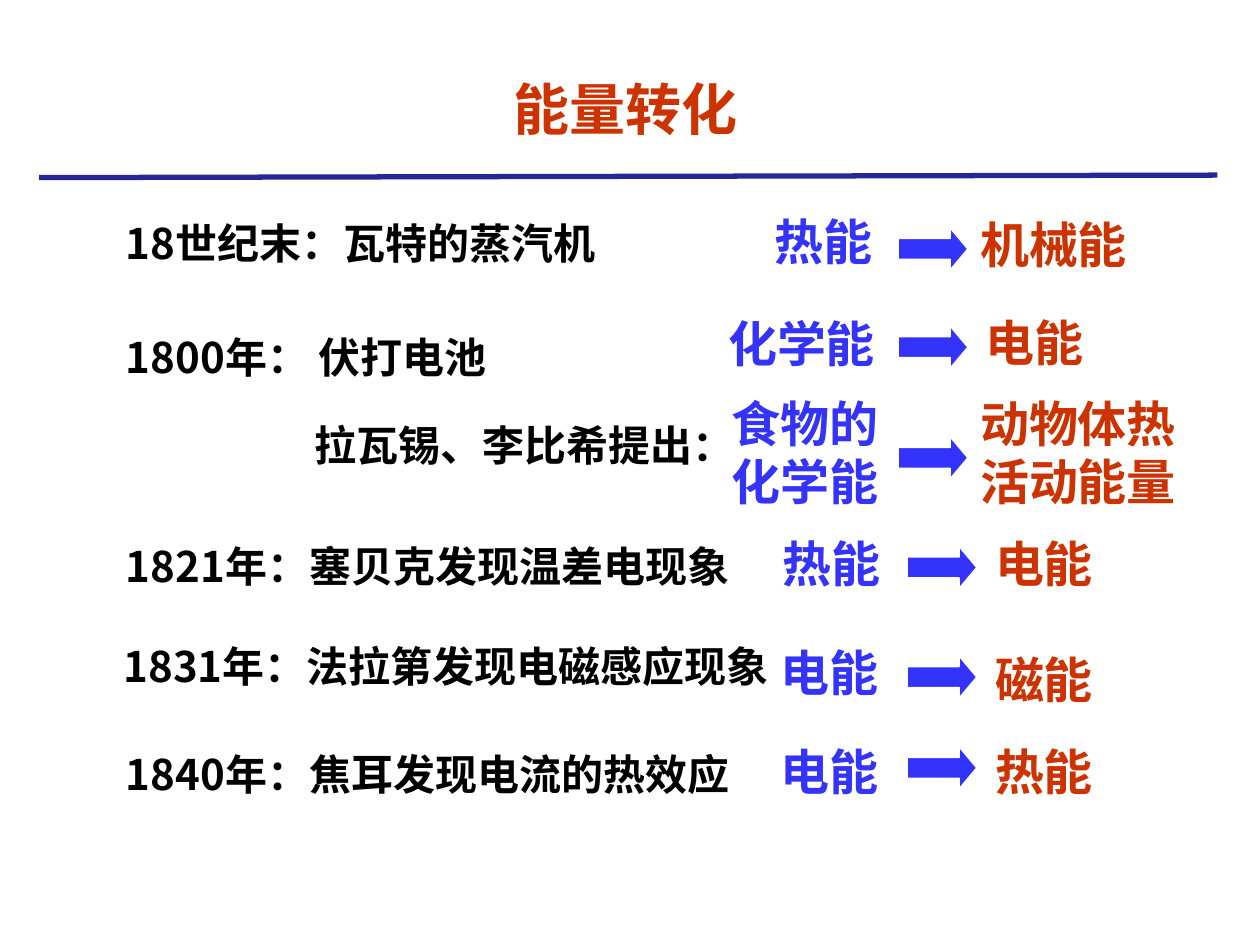
from lxml import etree
from pptx import Presentation
from pptx.dml.color import RGBColor
from pptx.enum import shapes, text
from pptx.oxml import ns
from pptx.util import Cm, Pt

BLACK = RGBColor(0x00, 0x00, 0x00)
WHITE = RGBColor(0xFF, 0xFF, 0xFF)
BLUE = RGBColor(0x33, 0x33, 0xFA)
ARROW_BLUE = RGBColor(0x33, 0x33, 0xFB)
RULE_BLUE = RGBColor(0x26, 0x26, 0x99)
RED = RGBColor(0xCC, 0x33, 0x00)
CHINESE_FONT = "Noto Sans CJK SC"

TITLE = "能量转化"
EVENTS = [
    ("18世纪末：瓦特的蒸汽机", 2.29, 4.27, 11),
    ("1800年： 伏打电池", 2.29, 6.55, 9.19),
    ("拉瓦锡、李比希提出：", 6.1, 8.33, 10.21),
    ("1821年：塞贝克发现温差电现象", 2.29, 10.77, 13.21),
    ("1831年：法拉第发现电磁感应现象", 2.24, 12.78, 14.86),
    ("1840年：焦耳发现电流的热效应", 2.29, 14.96, 15.42),
]
SOURCES = [
    ("热能", 15.37, 4.14, 8.74),
    ("化学能", 14.43, 6.2, 4.27),
    ("食物的化学能", 14.5, 7.8, 3.99, 2.64),
    ("热能", 15.52, 10.64, 3.58),
    ("电能", 15.49, 12.83, 4.19),
    ("电能", 15.49, 14.83, 3.61),
]
PRODUCTS = [
    ("机械能", 19.51, 4.19, 5),
    ("电能", 19.61, 6.17, 3.68),
    ("动物体热活动能量", 19.51, 7.8, 4.6, 2.64),
    ("电能", 19.81, 10.64, 3.89),
    ("磁能", 19.81, 12.62, 3.68, 1.8, 1.3),
    ("热能", 19.81, 14.83, 3.68),
]
ARROWS = [(18.11, 4.6), (18.11, 6.58), (18.11, 8.81),
          (18.29, 11.02), (18.29, 13.23), (18.29, 15.06)]

COLUMNS = [
    (EVENTS, 1.27, {"size": Pt(24), "color": BLACK}),
    (SOURCES, 1.45, {"size": Pt(28), "color": BLUE}),
    (PRODUCTS, 1.45, {"size": Pt(28), "color": RED}),
]


def add_text(page, words, place, style, frame_format, para_format):
    box = page.shapes.add_textbox(*map(Cm, place))
    frame = box.text_frame
    para = frame.paragraphs[0]
    span = para.add_run()
    span.text = words
    font_format = {"name": style.get("name", CHINESE_FONT),
                   "size": style["size"], "bold": True}
    for target, values in ((frame, {"word_wrap": True, **frame_format}),
                           (para, para_format), (span.font, font_format)):
        for key, value in values.items():
            setattr(target, key, value)
    span.font.color.rgb = style["color"]
    east_asian = etree.SubElement(span.font._element, ns.qn("a:ea"))
    east_asian.set("typeface", CHINESE_FONT)


def add_arrow(page, left, top):
    arrow = page.shapes.add_shape(shapes.MSO_SHAPE.RIGHT_ARROW,
                                  Cm(left), Cm(top), Cm(1.4), Cm(0.84))
    arrow.adjustments[1] = 0.42
    arrow.shadow.inherit = False
    arrow.fill.solid()
    arrow.fill.fore_color.rgb = ARROW_BLUE
    arrow.line.color.rgb = WHITE
    arrow.line.width = Pt(0.75)


def add_rule(page):
    rule = page.shapes.add_connector(shapes.MSO_CONNECTOR.STRAIGHT,
                                     Cm(0.79), Cm(3.58), Cm(24.54), Cm(3.53))
    rule.line.color.rgb = RULE_BLUE
    rule.line.width = Pt(3)
    etree.SubElement(rule._element.spPr, ns.qn("a:effectLst"))


def main():
    deck = Presentation()
    deck.slide_width, deck.slide_height = Cm(25.4), Cm(19.05)
    page = deck.slides.add_slide(deck.slide_layouts[6])

    for entries, line_height, style in COLUMNS:
        for words, left, top, width, *extra in entries:
            height = extra[0] if extra else line_height
            spacing = {"line_spacing": extra[1]} if len(extra) > 1 else {}
            add_text(page, words, (left, top, width, height), style,
                     {"auto_size": text.MSO_AUTO_SIZE.SHAPE_TO_FIT_TEXT}, spacing)
    for left, top in ARROWS:
        add_arrow(page, left, top)
    add_rule(page)
    add_text(page, TITLE, (2.01, 1.19, 21.21, 1.96),
             {"size": Pt(32), "color": RED, "name": "Arial"},
             {"vertical_anchor": text.MSO_ANCHOR.MIDDLE},
             {"alignment": text.PP_ALIGN.CENTER})
    deck.save("out.pptx")


if __name__ == "__main__":
    main()
